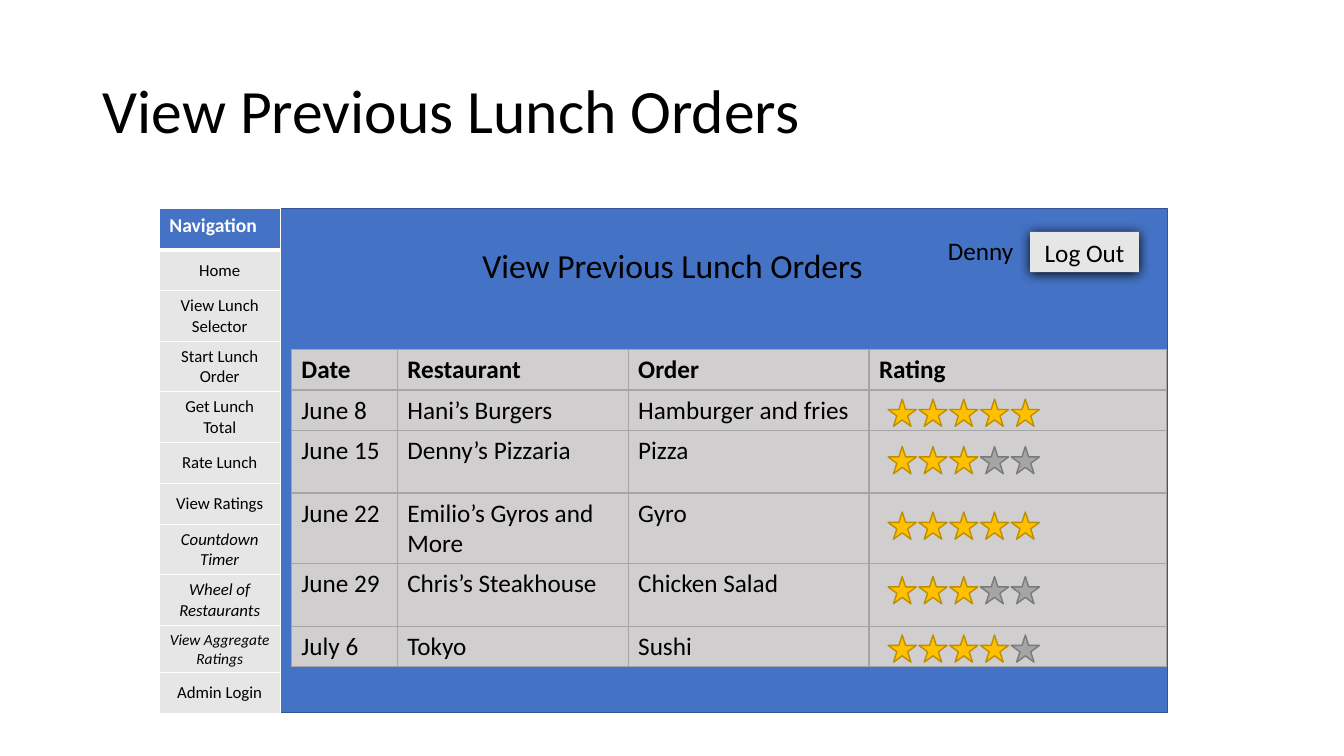
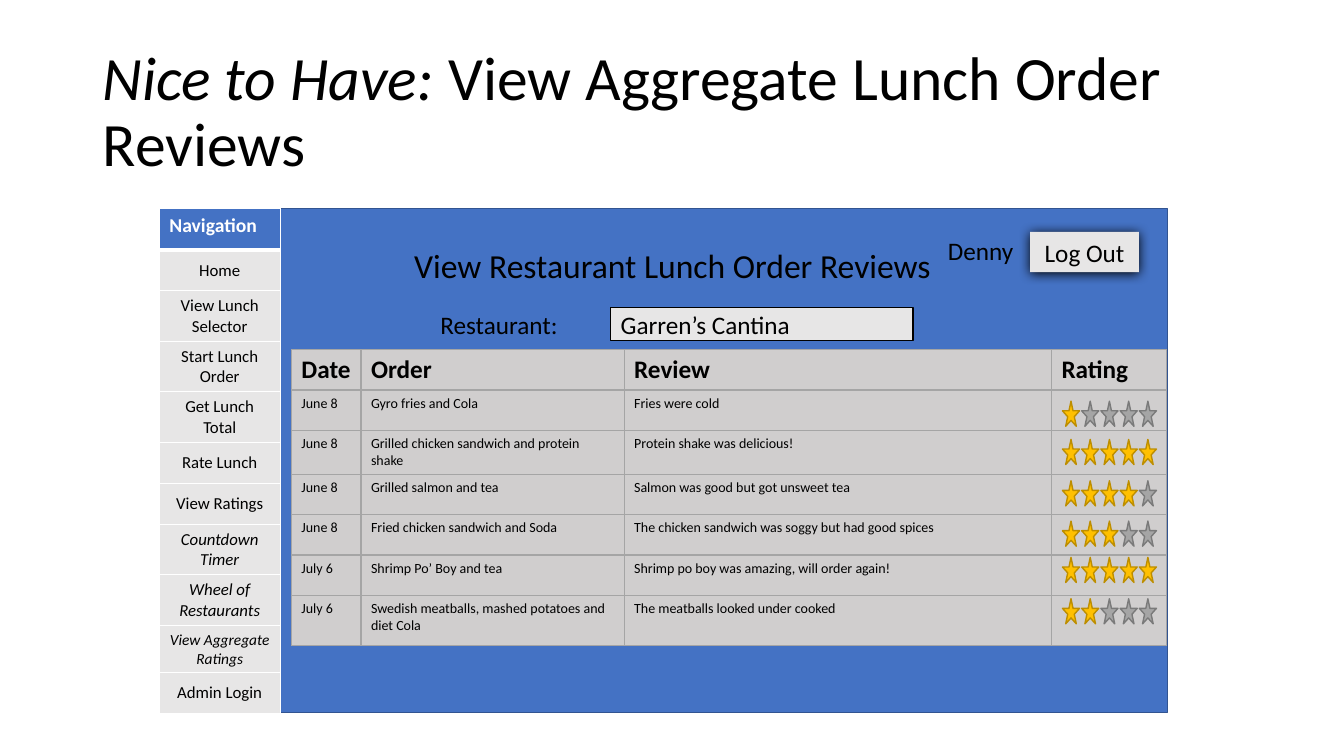
from dataclasses import dataclass
from typing import Any, Optional

from lxml.etree import SubElement
from pptx import Presentation
from pptx.dml.color import RGBColor
from pptx.enum.shapes import MSO_SHAPE
from pptx.enum.text import MSO_ANCHOR, MSO_AUTO_SIZE, PP_ALIGN
from pptx.oxml.ns import qn
from pptx.util import Emu, Inches, Pt

# Shared style
COLORS = {
    "black": "000000", "white": "FFFFFF", "blue": "4472C4", "blue_edge": "325491",
    "control": "E7E6E6", "cell": "D0CECE", "grid": "A5A5A5",
    "gold": "FFC000", "gold_edge": "BD8E00", "gray": "A5A5A5", "gray_edge": "7A7A7A",
}
FONT = "Calibri"
SLIDE_W, SLIDE_H = Inches(13.333), Inches(7.5)
STAR_COUNT = 5


def across(share: float) -> Emu:
    """Percent of the slide's width."""
    return Emu(round(SLIDE_W * share / 100))


def down(share: float) -> Emu:
    """Percent of the slide's height."""
    return Emu(round(SLIDE_H * share / 100))


@dataclass(frozen=True)
class Box:
    left: float
    top: float
    width: float
    height: float

    def place(self) -> tuple[Emu, Emu, Emu, Emu]:
        return across(self.left), down(self.top), across(self.width), down(self.height)


@dataclass(frozen=True)
class Run:
    text: str
    size: float = 18
    bold: bool = False
    italic: bool = False
    color: str = "black"


@dataclass(frozen=True)
class Stars:
    left: float
    width: float
    height: float
    pitch: float


@dataclass(frozen=True)
class Entry:
    cells: tuple[str, str, str]
    rating: int
    stars_top: float
    height: float = 4.8


@dataclass(frozen=True)
class Screen:
    title: tuple[Run, ...]
    heading: str
    headers: tuple[str, ...]
    columns: tuple[float, ...]
    entries: tuple[Entry, ...]
    entry_size: float
    stars: Stars
    restaurant: Optional[str] = None


TITLE = Box(6.9, 5.33, 86.25, 19.33)
PANEL = Box(11.85, 27.6, 75, 66.67)
HEADING = Box(29.48, 31.73, 41.1, 6.67)
USER = Box(67.05, 30.53, 9.08, 5.33)
LOG_OUT = Box(76.65, 30.67, 8.1, 5.33)
RESTAURANT_LABEL = Box(32.03, 40.27, 17.03, 5.33)
RESTAURANT_FIELD = Box(45.45, 40.67, 22.5, 4.4)
ORDERS_LEFT, ORDERS_TOP, HEADER_ROW = 21.68, 46.27, 4.8
NAV_WIDTH, NAV_ROW = 9, 5.44

NAVIGATION = (
    Run("Navigation", 14, bold=True, color="white"),
    *(Run(page, 12) for page in ("Home", "View Lunch Selector", "Start Lunch Order",
                                 "Get Lunch Total", "Rate Lunch", "View Ratings")),
    Run("Countdown Timer", 12, italic=True),
    Run("Wheel of Restaurants", 12, italic=True),
    Run("View Aggregate Ratings", 11, italic=True),
    Run("Admin Login", 12),
)

# Content of the screens
SCREENS = (
    Screen(
        title=(Run("View Previous Lunch Orders", 44),),
        heading="View Previous Lunch Orders",
        headers=("Date", "Restaurant", "Order", "Rating"),
        columns=(7.88, 17.18, 17.92, 22.12),
        entries=(
            Entry(("June 8", "Hani’s Burgers", "Hamburger and fries"), 5, 52.8),
            Entry(("June 15", "Denny’s Pizzaria", "Pizza"), 3, 59.07, 8.27),
            Entry(("June 22", "Emilio’s Gyros and More", "Gyro"), 5, 67.73, 8.27),
            Entry(("June 29", "Chris’s Steakhouse", "Chicken Salad"), 3, 76.27, 8.27),
            Entry(("July 6", "Tokyo", "Sushi"), 4, 84),
        ),
        entry_size=18,
        stars=Stars(66.08, 2.1, 3.6, 2.29),
    ),
    Screen(
        title=(Run("Nice to Have: ", 44, italic=True),
               Run("View Aggregate Lunch Order Reviews", 44)),
        heading="View Restaurant Lunch Order Reviews",
        headers=("Date", "Order", "Review", "Rating"),
        columns=(5.18, 19.58, 31.8, 8.55),
        entries=(
            Entry(("June 8", "Gyro fries and Cola", "Fries were cold"), 1, 53.07),
            Entry(("June 8", "Grilled chicken sandwich and protein shake",
                   "Protein shake was delicious!"), 5, 58.13),
            Entry(("June 8", "Grilled salmon and tea",
                   "Salmon was good but got unsweet tea"), 4, 63.6),
            Entry(("June 8", "Fried chicken sandwich and Soda",
                   "The chicken sandwich was soggy but had good spices"), 3, 68.93),
            Entry(("July 6", "Shrimp Po’ Boy and tea",
                   "Shrimp po boy was amazing, will order again!"), 5, 73.73),
            Entry(("July 6", "Swedish meatballs, mashed potatoes and diet Cola",
                   "The meatballs looked under cooked"), 2, 79.2, 6.67),
        ),
        entry_size=10,
        stars=Stars(79.05, 1.28, 3.33, 1.43),
        restaurant="Garren’s Cantina",
    ),
)


# Drawing helpers
def rgb(name: str) -> RGBColor:
    return RGBColor.from_string(COLORS[name])


def write(frame: Any, runs: tuple[Run, ...], align: PP_ALIGN = PP_ALIGN.LEFT) -> None:
    paragraph = frame.paragraphs[0]
    paragraph.alignment = align
    for part in runs:
        run = paragraph.add_run()
        run.text = part.text
        run.font.name, run.font.size = FONT, Pt(part.size)
        run.font.bold, run.font.italic = part.bold, part.italic
        run.font.color.rgb = rgb(part.color)


def add_text(slide: Any, box: Box, runs: tuple[Run, ...],
             align: PP_ALIGN = PP_ALIGN.LEFT) -> Any:
    frame = slide.shapes.add_textbox(*box.place()).text_frame
    frame.word_wrap = True
    write(frame, runs, align)
    return frame


def add_block(shapes: Any, box: Box, fill: str, edge: Optional[str] = None,
              kind: MSO_SHAPE = MSO_SHAPE.RECTANGLE) -> Any:
    block = shapes.add_shape(kind, *box.place())
    block.shadow.inherit = False
    block.fill.solid()
    block.fill.fore_color.rgb = rgb(fill)
    if edge:
        block.line.color.rgb = rgb(edge)
        block.line.width = Pt(1)
    else:
        block.line.fill.background()
    return block


def add_glow(block: Any) -> None:
    effects = block._element.spPr.find(qn("a:effectLst"))
    shadow = SubElement(effects, qn("a:outerShdw"), blurRad=str(Pt(8.5)),
                        dist=str(Pt(1)), dir="5400000", algn="t", rotWithShape="0")
    SubElement(shadow, qn("a:srgbClr"), val=COLORS["black"])


def style_cell(cell: Any, fill: str, edge: str, top: float, bottom: float) -> None:
    properties = cell._tc.get_or_add_tcPr()
    for side, width in (("L", 1), ("R", 1), ("T", top), ("B", bottom)):
        line = SubElement(properties, qn(f"a:ln{side}"), w=str(Pt(width)))
        SubElement(SubElement(line, qn("a:solidFill")), qn("a:srgbClr"), val=COLORS[edge])
    cell.fill.solid()
    cell.fill.fore_color.rgb = rgb(fill)


def add_grid(slide: Any, left: float, top: float, columns: tuple[float, ...],
             rows: tuple[float, ...], fills: tuple[str, str], edge: str,
             rule: float) -> Any:
    """Table whose header row has its own fill and a heavier rule below."""
    box = Box(left, top, sum(columns), sum(rows))
    table = slide.shapes.add_table(len(rows), len(columns), *box.place()).table
    table.first_row = table.horz_banding = False
    for column, width in zip(table.columns, columns):
        column.width = across(width)
    for index, (row, height) in enumerate(zip(table.rows, rows)):
        row.height = down(height)
        for cell in row.cells:
            style_cell(cell, fills[min(index, 1)], edge,
                       top=rule if index == 1 else 1, bottom=rule if index == 0 else 1)
    return table


# Parts of a screen
def add_navigation(slide: Any) -> None:
    table = add_grid(slide, PANEL.left, PANEL.top, (NAV_WIDTH,),
                     (NAV_ROW,) * len(NAVIGATION), ("blue", "control"), "white", 3)
    for index, page in enumerate(NAVIGATION):
        cell = table.cell(index, 0)
        if index:
            cell.vertical_anchor = MSO_ANCHOR.MIDDLE
        write(cell.text_frame, (page,), PP_ALIGN.CENTER if index else PP_ALIGN.LEFT)


def add_rating(slide: Any, stars: Stars, entry: Entry) -> None:
    group = slide.shapes.add_group_shape()
    for index in range(STAR_COUNT):
        color = "gold" if index < entry.rating else "gray"
        box = Box(stars.left + index * stars.pitch, entry.stars_top,
                  stars.width, stars.height)
        add_block(group.shapes, box, color, f"{color}_edge", MSO_SHAPE.STAR_5_POINT)


def add_orders(slide: Any, screen: Screen) -> None:
    heights = (HEADER_ROW, *(entry.height for entry in screen.entries))
    table = add_grid(slide, ORDERS_LEFT, ORDERS_TOP, screen.columns, heights,
                     ("cell", "cell"), "grid", 2)
    for column, header in enumerate(screen.headers):
        write(table.cell(0, column).text_frame, (Run(header, bold=True),))
    for row, entry in enumerate(screen.entries, start=1):
        for column, text in enumerate(entry.cells):
            write(table.cell(row, column).text_frame, (Run(text, screen.entry_size),))
        add_rating(slide, screen.stars, entry)


def add_log_out(slide: Any) -> None:
    button = add_block(slide.shapes, LOG_OUT, "control")
    add_glow(button)
    write(button.text_frame, (Run("Log Out"),), PP_ALIGN.CENTER)


def add_restaurant_picker(slide: Any, restaurant: str) -> None:
    field = add_block(slide.shapes, RESTAURANT_FIELD, "control", "black")
    field.text_frame.vertical_anchor = MSO_ANCHOR.MIDDLE
    write(field.text_frame, (Run(restaurant),))
    add_text(slide, RESTAURANT_LABEL, (Run("Restaurant:"),))


def add_screen(deck: Any, screen: Screen) -> None:
    slide = deck.slides.add_slide(deck.slide_layouts[6])
    title = add_text(slide, TITLE, screen.title)
    title.vertical_anchor = MSO_ANCHOR.MIDDLE
    title.paragraphs[0].line_spacing = 0.9
    add_block(slide.shapes, PANEL, "blue", "blue_edge")
    heading = add_text(slide, HEADING, (Run(screen.heading, 24),), PP_ALIGN.CENTER)
    user = add_text(slide, USER, (Run("Denny"),), PP_ALIGN.RIGHT)
    for label in (heading, user):
        label.auto_size = MSO_AUTO_SIZE.SHAPE_TO_FIT_TEXT
    add_log_out(slide)
    add_navigation(slide)
    add_orders(slide, screen)
    if screen.restaurant:
        add_restaurant_picker(slide, screen.restaurant)


presentation = Presentation()
presentation.slide_width, presentation.slide_height = SLIDE_W, SLIDE_H
for lunch_screen in SCREENS:
    add_screen(presentation, lunch_screen)
presentation.save("out.pptx")
